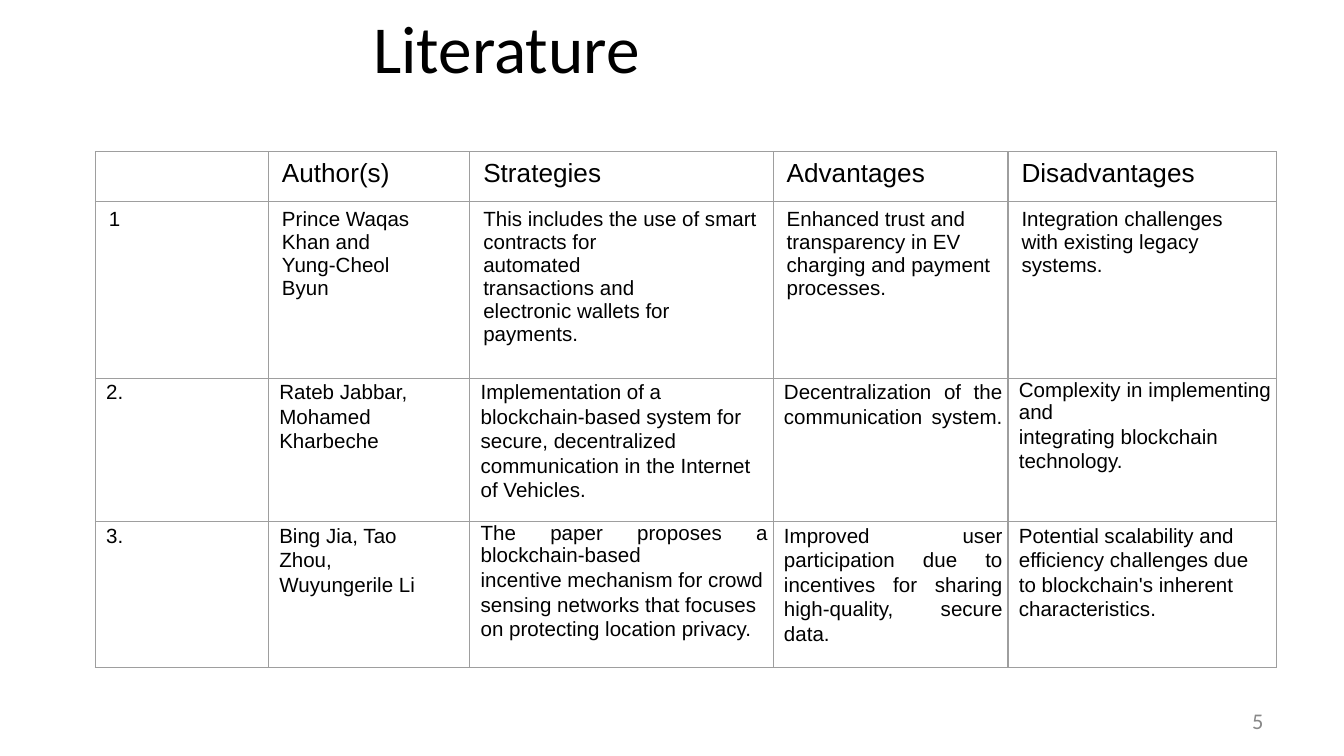
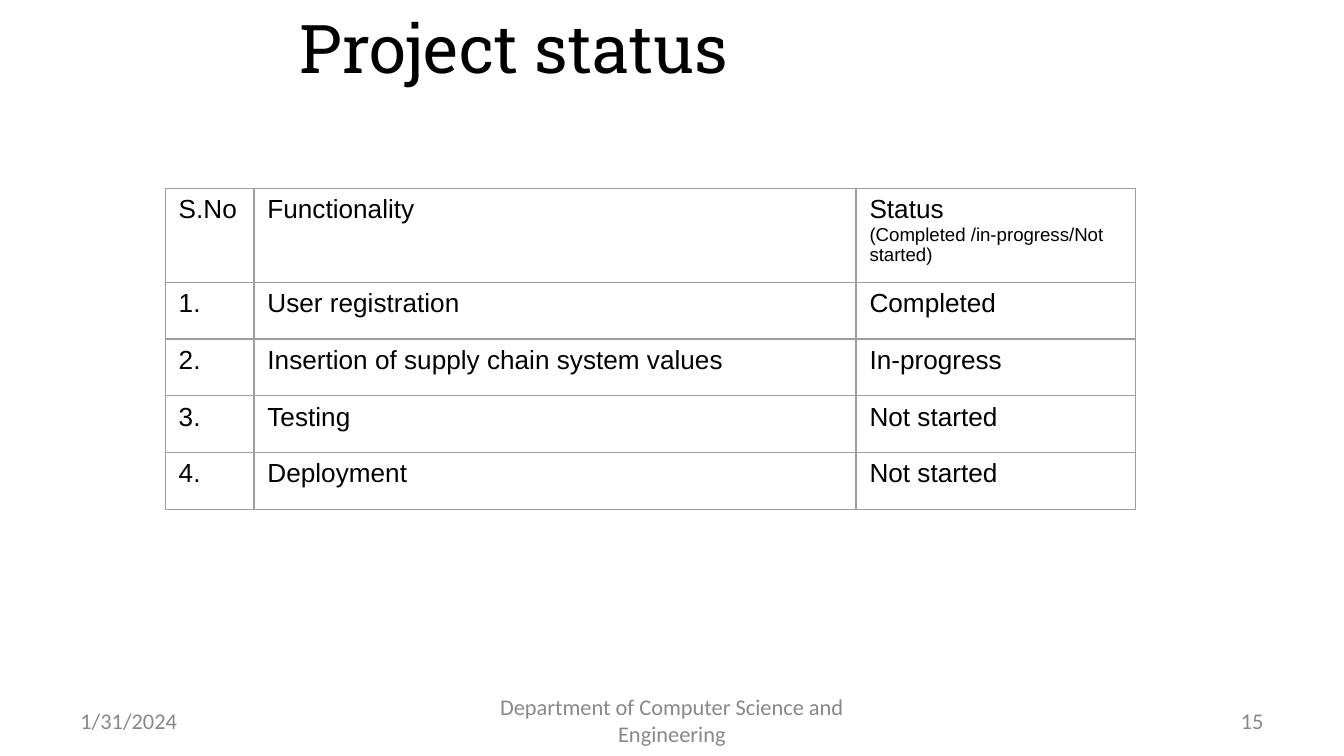
from dataclasses import dataclass
from typing import Optional

from lxml.etree import SubElement
from pptx import Presentation
from pptx.dml.color import RGBColor
from pptx.enum.text import MSO_ANCHOR, PP_ALIGN
from pptx.oxml.ns import qn
from pptx.util import Inches, Pt

BLACK, GREY, BORDER, WHITE = "000000", "888888", "9E9E9E", "FFFFFF"
BODY, FOOT = "Arial", "Calibri"
LEFT, CENTER, RIGHT, JUSTIFY = (
    PP_ALIGN.LEFT, PP_ALIGN.CENTER, PP_ALIGN.RIGHT, PP_ALIGN.JUSTIFY)
UNIT = Inches(0.1)
WIDTH = 100 * UNIT
HEIGHT = WIDTH * 9 // 16


@dataclass
class Box:
    """An area measured in grid columns and rows."""
    x: float
    y: float
    w: float
    h: float

    def emu(self):
        """Return left, top, width and height in EMU."""
        return [round(v * UNIT) for v in (self.x, self.y, self.w, self.h)]


@dataclass
class Para:
    """A paragraph that may differ from the rest of its row."""
    text: str
    align: PP_ALIGN = LEFT
    spacing: Optional[float] = None
    after: Optional[float] = None
    size: Optional[float] = None


@dataclass
class Row:
    """Table cells that share a size, a line spacing and cell margins."""
    cells: list
    size: float = 14
    spacing: Optional[float] = None
    margins: tuple = (1, 0.5, 1, 0.5)


TITLE_BOX = Box(4.8, 0, 66.9, 6.9)
FOOTER_BOX = Box(5, 52.1, 90, 3)


def color(hex_string):
    """Turn a hex string into a colour."""
    return RGBColor.from_string(hex_string)


def add_run(p, text, size, font, hex_string):
    """Add one formatted run to a paragraph."""
    r = p.add_run()
    r.text = text
    r.font.size = Pt(size)
    r.font.name = font
    r.font.color.rgb = color(hex_string)


def add_text(slide, box, text, size, font, hex_string, align):
    """Add a wrapped, vertically centred line of text."""
    tf = slide.shapes.add_textbox(*box.emu()).text_frame
    tf.word_wrap = True
    tf.vertical_anchor = MSO_ANCHOR.MIDDLE
    p = tf.paragraphs[0]
    p.alignment = align
    add_run(p, text, size, font, hex_string)


def add_title(slide, box, text, font):
    """Add the slide title."""
    add_text(slide, box, text, 36, font, BLACK, CENTER)


def add_footer(slide, box, number, date=None, department=None):
    """Place date, department and slide number along the footer box."""
    side, middle = 23.3, 31.7
    parts = [(date, 0, side, LEFT),
             (department, (box.w - middle) / 2, middle, CENTER),
             (number, box.w - side, side, RIGHT)]
    for text, dx, w, align in parts:
        if text:
            add_text(slide, Box(box.x + dx, box.y, w, box.h),
                     text, 12, FOOT, GREY, align)


def add_borders(cell):
    """Draw a thin line on the four sides of a cell."""
    tc_pr = cell._tc.get_or_add_tcPr()
    for i, side in enumerate(("a:lnL", "a:lnR", "a:lnT", "a:lnB")):
        ln = SubElement(tc_pr, qn(side), w=str(Pt(0.75)))
        tc_pr.insert(i, ln)
        SubElement(SubElement(ln, qn("a:solidFill")), qn("a:srgbClr"), val=BORDER)


def fill_cell(cell, content, row):
    """Write the paragraphs of one cell and set its look."""
    cell.fill.background()
    add_borders(cell)
    (cell.margin_left, cell.margin_top,
     cell.margin_right, cell.margin_bottom) = [round(m * UNIT) for m in row.margins]
    if isinstance(content, str):
        content = [Para(text) for text in content.split("\n")]
    tf = cell.text_frame
    for i, para in enumerate(content):
        p = tf.paragraphs[0] if i == 0 else tf.add_paragraph()
        p.alignment = para.align
        p.line_spacing = para.spacing or row.spacing
        if para.after:
            p.space_after = Pt(para.after)
        size = para.size or row.size
        if para.text:
            add_run(p, para.text, size, BODY, BLACK)
        else:
            SubElement(p._p, qn("a:endParaRPr"), sz=str(size * 100))


def add_table(slide, box, cols, heights, rows):
    """Fill the box with a ruled table, sharing it out by the given weights."""
    x, y, w, h = box.emu()
    table = slide.shapes.add_table(len(rows), len(cols), x, y, w, h).table
    table.first_row = table.horz_banding = False
    for column, weight in zip(table.columns, cols):
        column.width = round(w * weight / sum(cols))
    for i, (row, weight) in enumerate(zip(rows, heights)):
        table.rows[i].height = round(h * weight / sum(heights))
        for j, content in enumerate(row.cells):
            fill_cell(table.cell(i, j), content, row)


def new_slide(prs):
    """Add a blank white slide."""
    slide = prs.slides.add_slide(prs.slide_layouts[6])
    slide.background.fill.solid()
    slide.background.fill.fore_color.rgb = color(WHITE)
    return slide


def literature_slide(prs):
    """Build the literature survey."""
    slide = new_slide(prs)
    add_footer(slide, FOOTER_BOX, "5")
    add_title(slide, TITLE_BOX, "Literature ", "Calibri")
    tight = dict(size=11, spacing=1.07, margins=(0.8, 0.1, 0.4, 0))
    rows = [
        Row(["", "Author(s)", "Strategies", "Advantages", "Disadvantages"]),
        Row(["1",
             "Prince Waqas\nKhan and\nYung-Cheol\nByun",
             "This includes the use of smart contracts for\nautomated\n"
             "transactions and\nelectronic wallets for payments.",
             "Enhanced trust and transparency in EV charging and payment processes.",
             "Integration challenges with existing legacy systems."], size=11),
        Row(["2.",
             "Rateb Jabbar,\nMohamed\nKharbeche",
             "Implementation of a blockchain-based system for secure, "
             "decentralized communication in the Internet of Vehicles.",
             [Para("Decentralization of the communication system. ", JUSTIFY)],
             [Para("Complexity in implementing and ", JUSTIFY, 0.96, 0.4),
              Para("integrating blockchain technology.")]], **tight),
        Row(["3.",
             "Bing Jia, Tao\nZhou,\nWuyungerile Li",
             [Para("The paper proposes a blockchain-based ", JUSTIFY, 0.97, 0.2),
              Para("incentive mechanism for crowd sensing networks that "
                   "focuses on protecting location privacy.")],
             [Para("Improved user participation due to incentives for "
                   "sharing high-quality, secure data. ", JUSTIFY)],
             "Potential scalability and efficiency challenges due to "
             "blockchain's inherent characteristics."], **tight),
    ]
    add_table(slide, Box(7.1, 11.3, 87.9, 38.4),
              [12.9, 15, 22.6, 17.5, 20], [3.7, 13.2, 10.7, 10.9], rows)


def status_slide(prs):
    """Build the project status."""
    slide = new_slide(prs)
    add_title(slide, TITLE_BOX, "Project status", "Roboto Slab")
    tasks = [("User registration", "Completed"),
             ("Insertion of supply chain system values", "In-progress"),
             ("Testing", "Not started"),
             ("Deployment", "Not started")]
    status = [Para("Status"),
              Para("(Completed /in-progress/Not started)", size=10)]
    rows = [Row(["S.No", "Functionality", status])]
    rows += [Row([f"{i}.", *task]) for i, task in enumerate(tasks, 1)]
    add_table(slide, Box(12.3, 14, 72.2, 23.9),
              [6.6, 44.8, 20.8], [7] + [4.22] * len(tasks), rows)
    add_footer(slide, FOOTER_BOX, "15", "1/31/2024",
               "Department of Computer Science and Engineering")


def main():
    """Build and save the presentation."""
    prs = Presentation()
    prs.slide_width, prs.slide_height = WIDTH, HEIGHT
    literature_slide(prs)
    status_slide(prs)
    prs.save("out.pptx")


if __name__ == "__main__":
    main()
